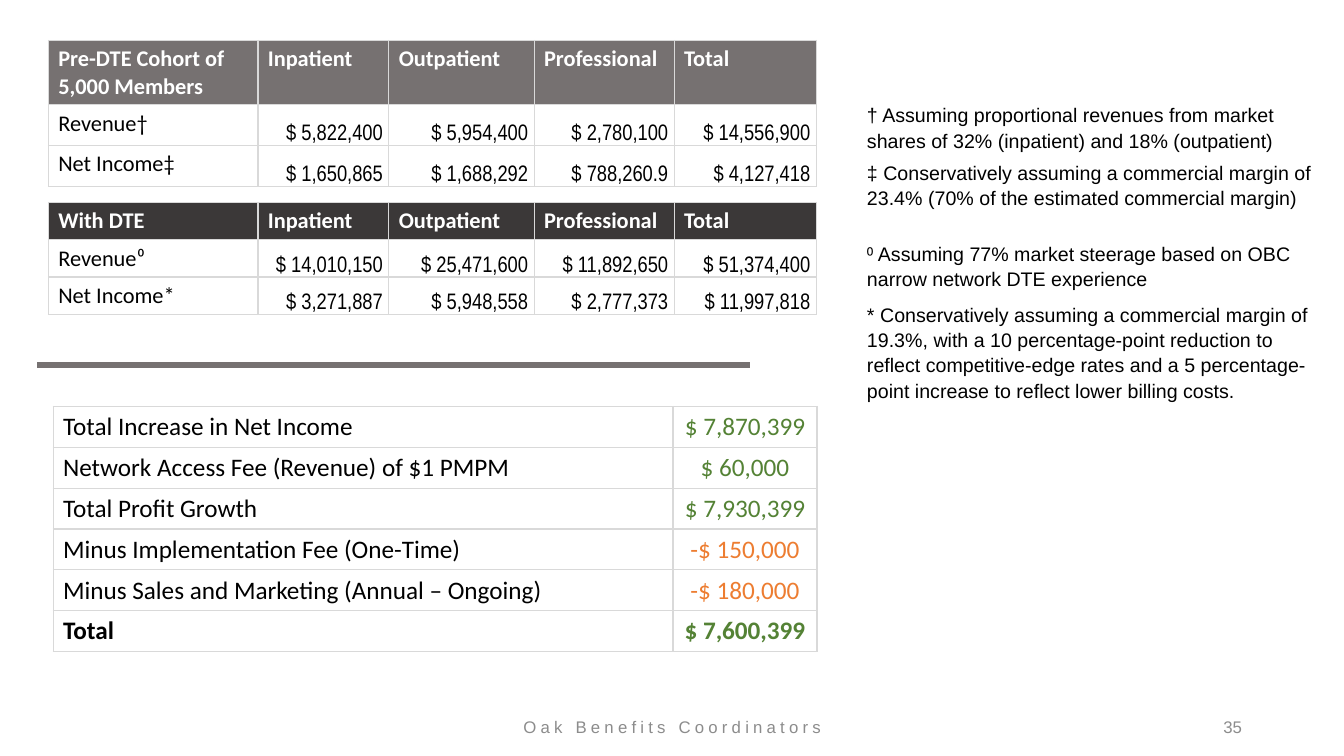
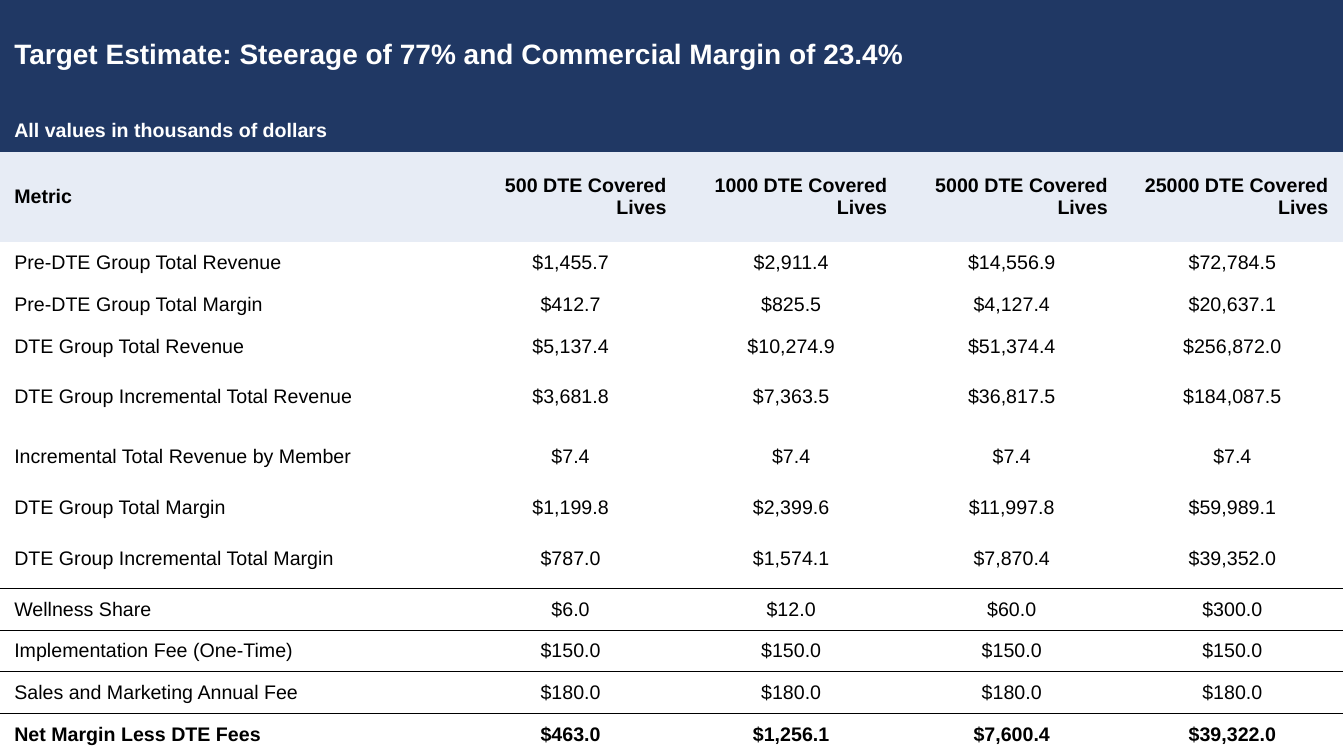
from dataclasses import dataclass, replace
from typing import Any, Sequence

import pptx
import pptx.dml.color
import pptx.enum.shapes
import pptx.enum.text
import pptx.oxml
import pptx.oxml.ns
import pptx.oxml.xmlchemy
import pptx.util

RGBColor = pptx.dml.color.RGBColor
Cm = pptx.util.Cm
Pt = pptx.util.Pt
Align = pptx.enum.text.PP_ALIGN
Anchor = pptx.enum.text.MSO_ANCHOR

BLACK = RGBColor(0x00, 0x00, 0x00)
WHITE = RGBColor(0xFF, 0xFF, 0xFF)
GREY = RGBColor(0x76, 0x71, 0x71)
CHARCOAL = RGBColor(0x3B, 0x38, 0x38)
FOOTER_GREY = RGBColor(0x8C, 0x8C, 0x8C)
GRID_GREY = RGBColor(0xD9, 0xD9, 0xD9)
GREEN = RGBColor(0x54, 0x82, 0x35)
ORANGE = RGBColor(0xED, 0x7D, 0x31)
NAVY = RGBColor(0x20, 0x38, 0x64)
PALE_BLUE = RGBColor(0xE7, 0xEC, 0xF5)

PLAIN_TABLE_STYLE = "{2D5ABB26-0587-4C30-8999-92F81FD0307C}"
ALL_EDGES = ("lnL", "lnR", "lnT", "lnB")


@dataclass(frozen=True)
class Style:
    """Look of a table cell; margins are left, top, right, bottom in cm."""
    font: str = "Calibri"
    size: float = 16
    color: RGBColor = BLACK
    bold: bool = False
    align: Any = Align.LEFT
    anchor: Any = Anchor.TOP
    margins: tuple[float, ...] = (0.25, 0.13, 0.25, 0.13)
    fill: RGBColor | None = None
    edges: tuple[str, ...] = ALL_EDGES
    edge_color: RGBColor = GRID_GREY


@dataclass(frozen=True)
class Cell:
    text: str
    style: Style
    span: int = 1


@dataclass(frozen=True)
class Note:
    top: float
    height: float
    text: str


LABEL = Style()
COHORT_HEADER = Style(color=WHITE, bold=True)
AMOUNT = Style(font="Arial Narrow", align=Align.RIGHT, anchor=Anchor.BOTTOM,
               margins=(0.03, 0.03, 0.15, 0))
SUMMARY = Style(size=18)
METRIC = Style(font="Arial", size=14, anchor=Anchor.MIDDLE,
               margins=(0.36, 0, 0.36, 0), edges=(), edge_color=BLACK)
BANNER = replace(METRIC, color=WHITE, bold=True, fill=NAVY)
METRIC_HEADER = replace(METRIC, bold=True, fill=PALE_BLUE)

COHORT_COLUMNS = (5.28, 3.3, 3.66, 3.53, 3.58)
COHORT_HEADINGS = ("Inpatient", "Outpatient", "Professional", "Total")
PRE_DTE = (
    ("Revenue†", "$ 5,822,400", "$ 5,954,400", "$ 2,780,100", "$ 14,556,900"),
    ("Net Income‡", "$ 1,650,865", "$ 1,688,292", "$ 788,260.9", "$ 4,127,418"),
)
WITH_DTE = (
    ("Revenue⁰", "$ 14,010,150", "$ 25,471,600", "$ 11,892,650", "$ 51,374,400"),
    ("Net Income*", "$ 3,271,887", "$ 5,948,558", "$ 2,777,373", "$ 11,997,818"),
)
PROFIT_LINES = (
    ("Total Increase in Net Income", "$ 7,870,399"),
    ("Network Access Fee (Revenue) of $1 PMPM", "$ 60,000"),
    ("Total Profit Growth", "$ 7,930,399"),
    ("Minus Implementation Fee (One-Time)", "-$ 150,000"),
    ("Minus Sales and Marketing (Annual – Ongoing)", "-$ 180,000"),
    ("Total", "$ 7,600,399"),
)
NOTES = (
    Note(2.44, 2.06, "† Assuming proportional revenues from market shares of 32% "
         "(inpatient) and 18% (outpatient)"),
    Note(3.89, 1.45, "‡ Conservatively assuming a commercial margin of 23.4% "
         "(70% of the estimated commercial margin)"),
    Note(5.92, 1.45, "⁰ Assuming 77% market steerage based on OBC narrow network "
         "DTE experience"),
    Note(7.47, 2.64, "* Conservatively assuming a commercial margin of 19.3%, with a "
         "10 percentage-point reduction to reflect competitive-edge rates and a "
         "5 percentage-point increase to reflect lower billing costs."),
)

BANNER_LINES = (
    ("Target Estimate: Steerage of 77% and Commercial Margin of 23.4%", 20),
    ("All values in thousands of dollars", 14),
)
COVERED_LIVES = (500, 1000, 5000, 25000)
METRICS = (
    ("Pre-DTE Group Total Revenue", "$1,455.7", "$2,911.4", "$14,556.9", "$72,784.5"),
    ("Pre-DTE Group Total Margin", "$412.7", "$825.5", "$4,127.4", "$20,637.1"),
    ("DTE Group Total Revenue", "$5,137.4", "$10,274.9", "$51,374.4", "$256,872.0"),
    ("DTE Group Incremental Total Revenue",
     "$3,681.8", "$7,363.5", "$36,817.5", "$184,087.5"),
    ("Incremental Total Revenue by Member", "$7.4", "$7.4", "$7.4", "$7.4"),
    ("DTE Group Total Margin", "$1,199.8", "$2,399.6", "$11,997.8", "$59,989.1"),
    ("DTE Group Incremental Total Margin", "$787.0", "$1,574.1", "$7,870.4", "$39,352.0"),
    ("Wellness Share", "$6.0", "$12.0", "$60.0", "$300.0"),
    ("Implementation Fee (One-Time)", "$150.0", "$150.0", "$150.0", "$150.0"),
    ("Sales and Marketing Annual Fee", "$180.0", "$180.0", "$180.0", "$180.0"),
    ("Net Margin Less DTE Fees", "$463.0", "$1,256.1", "$7,600.4", "$39,322.0"),
)
RULED_METRICS = (6, 8)
TALL_METRICS = (3, 4, 6)


def apply_format(target: Any, values: dict[str, Any]) -> None:
    for name, value in values.items():
        setattr(target, name, value)


def write_text(frame: Any, text: str, style: Style) -> Any:
    """Fill the first paragraph of a frame and return it."""
    para = frame.paragraphs[0]
    para.alignment = style.align
    span = para.add_run()
    span.text = text
    apply_format(span.font, {"name": style.font, "size": Pt(style.size),
                             "bold": style.bold})
    span.font.color.rgb = style.color
    return para


def draw_edges(cell: Any, style: Style) -> None:
    properties = cell._tc.get_or_add_tcPr()
    namespace = pptx.oxml.ns.nsdecls("a")
    for edge in style.edges:
        properties.append(pptx.oxml.parse_xml(
            f'<a:{edge} {namespace} w="12700"><a:solidFill>'
            f'<a:srgbClr val="{style.edge_color}"/></a:solidFill></a:{edge}>'))


def draw_cell(cell: Any, content: Cell) -> None:
    style = content.style
    left, top, right, bottom = (Cm(margin) for margin in style.margins)
    apply_format(cell, {"margin_left": left, "margin_top": top, "margin_right": right,
                        "margin_bottom": bottom, "vertical_anchor": style.anchor})
    draw_edges(cell, style)
    if style.fill is None:
        cell.fill.background()
    else:
        cell.fill.solid()
        cell.fill.fore_color.rgb = style.fill
    write_text(cell.text_frame, content.text, style)


def draw_table(page: Any, left: float, top: float, widths: Sequence[float],
               heights: Sequence[float], rows: Sequence[Sequence[Cell]]) -> None:
    table = page.shapes.add_table(len(heights), len(widths), Cm(left), Cm(top),
                                  Cm(sum(widths)), Cm(sum(heights))).table
    apply_format(table, {"first_row": False, "horz_banding": False})
    style_id = table._tbl.tblPr.find(pptx.oxml.ns.qn("a:tableStyleId"))
    style_id.text = PLAIN_TABLE_STYLE
    for column, width in zip(table.columns, widths):
        column.width = Cm(width)
    for row, height in zip(table.rows, heights):
        row.height = Cm(height)
    for row_index, contents in enumerate(rows):
        for column_index, content in enumerate(contents):
            cell = table.cell(row_index, column_index)
            if content.span > 1:
                cell.merge(table.cell(row_index, column_index + content.span - 1))
            draw_cell(cell, content)


def draw_box(page: Any, left: float, top: float, width: float, height: float,
             text: str, style: Style) -> Any:
    """Add a wrapped text box and return its paragraph."""
    box = page.shapes.add_textbox(Cm(left), Cm(top), Cm(width), Cm(height))
    apply_format(box.text_frame, {"word_wrap": True, "vertical_anchor": style.anchor})
    return write_text(box.text_frame, text, style)


def draw_footer(page: Any, text: str, number: str) -> None:
    style = Style(font="Arial", size=12, color=FOOTER_GREY, align=Align.CENTER,
                  anchor=Anchor.MIDDLE)
    para = draw_box(page, 11.23, 17.98, 11.43, 0.69, text, style)
    para.runs[0].font._element.set("spc", "300")
    draw_box(page, 23.93, 17.98, 7.62, 0.69, number, replace(style, align=Align.RIGHT))


def draw_cohort(page: Any, top: float, heights: Sequence[float], title: str,
                fill: RGBColor, figures: Sequence[Sequence[str]]) -> None:
    header = replace(COHORT_HEADER, fill=fill)
    rows = [[Cell(text, header) for text in (title, *COHORT_HEADINGS)]]
    for label, *amounts in figures:
        rows.append([Cell(label, LABEL), *(Cell(text, AMOUNT) for text in amounts)])
    draw_table(page, 1.22, top, COHORT_COLUMNS, heights, rows)


def draw_profit_table(page: Any) -> None:
    rows = []
    for label, amount in PROFIT_LINES:
        label_style = replace(SUMMARY, bold=label == "Total")
        color = ORANGE if amount.startswith("-") else GREEN
        amount_style = replace(label_style, color=color, align=Align.CENTER)
        rows.append([Cell(label, label_style), Cell(amount, amount_style)])
    draw_table(page, 1.34, 10.24, (15.62, 3.63), [1.03] * len(rows), rows)


def draw_divider(page: Any) -> None:
    line = page.shapes.add_connector(pptx.enum.shapes.MSO_CONNECTOR.STRAIGHT,
                                     Cm(0.94), Cm(9.2), Cm(18.9), Cm(9.2))
    line.line.color.rgb = GREY
    line.line.width = Pt(4.5)
    line._element.spPr.append(pptx.oxml.parse_xml(
        f'<a:effectLst {pptx.oxml.ns.nsdecls("a")}/>'))


def build_cohort_page(page: Any) -> None:
    draw_footer(page, "Oak Benefits Coordinators", "35")
    draw_cohort(page, 1.02, (1.6, 1.03, 1.03), "Pre-DTE Cohort of 5,000 Members",
                GREY, PRE_DTE)
    draw_divider(page)
    draw_profit_table(page)
    draw_cohort(page, 5.1, (0.94, 0.94, 0.94), "With DTE", CHARCOAL, WITH_DTE)
    for note in NOTES:
        para = draw_box(page, 21.6, note.top, 12, note.height, note.text,
                        Style(font="Arial", size=14))
        para.line_spacing = 1.07


def build_estimate_page(page: Any) -> None:
    right_header = replace(METRIC_HEADER, align=Align.RIGHT)
    rows = [[Cell(text, replace(BANNER, size=size), 5)] for text, size in BANNER_LINES]
    rows.append([Cell("Metric", METRIC_HEADER),
                 *(Cell(f"{lives} DTE Covered Lives", right_header)
                   for lives in COVERED_LIVES)])
    heights = [2.77, 1.05, 2.28]
    for index, (label, *amounts) in enumerate(METRICS):
        edges = (("lnT",) if index - 1 in RULED_METRICS else ()) + (
            ("lnB",) if index in RULED_METRICS else ())
        style = replace(METRIC, edges=edges, bold=index == len(METRICS) - 1)
        centred = replace(style, align=Align.CENTER)
        rows.append([Cell(label, style), *(Cell(text, centred) for text in amounts)])
        heights.append(1.51 if index in TALL_METRICS else 1.05)
    draw_table(page, 0, 0, (11.6, 5.56, 5.56, 5.56, 5.56), heights, rows)


def main() -> None:
    deck = pptx.Presentation()
    apply_format(deck, {"slide_width": Cm(33.87), "slide_height": Cm(19.05)})
    for build_page in (build_cohort_page, build_estimate_page):
        build_page(deck.slides.add_slide(deck.slide_layouts[6]))
    deck.save("out.pptx")


if __name__ == "__main__":
    main()
